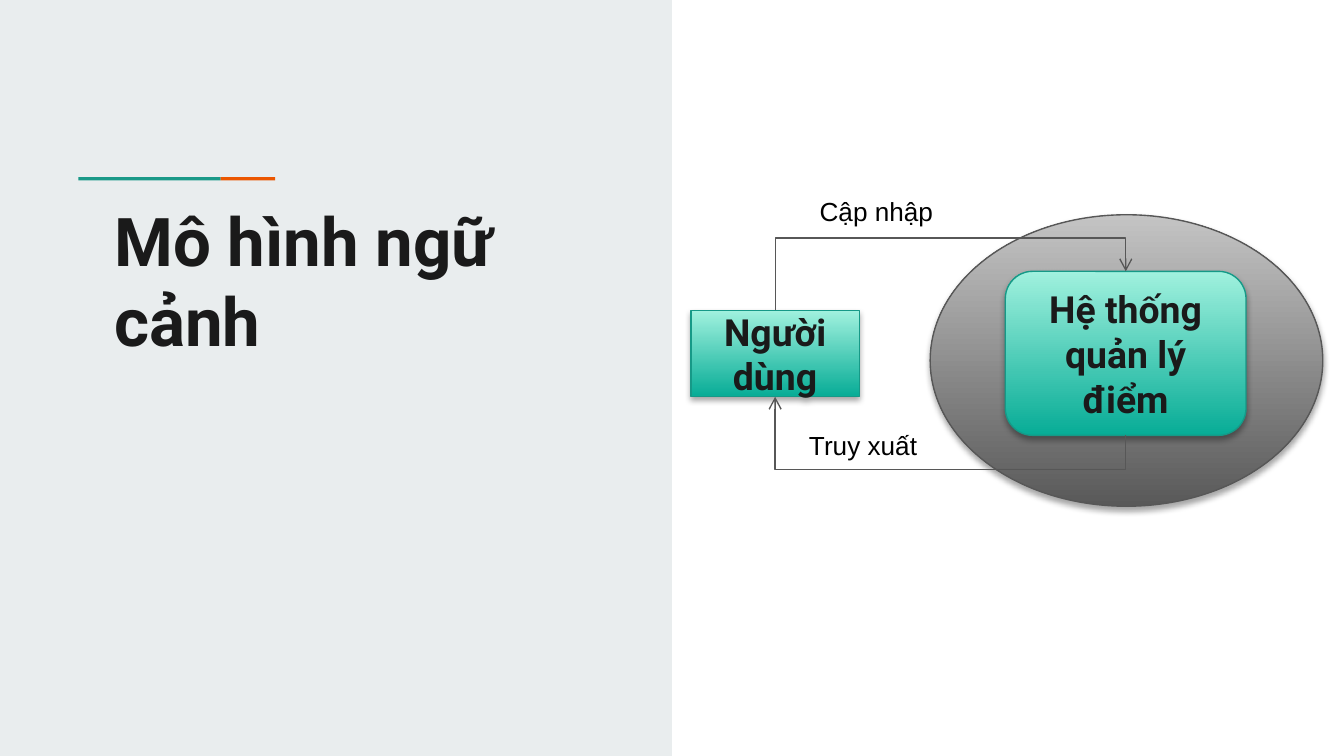
from dataclasses import dataclass

from lxml.etree import SubElement
from pptx import Presentation
from pptx.dml.color import RGBColor
from pptx.enum.shapes import MSO_CONNECTOR, MSO_SHAPE
from pptx.enum.text import MSO_ANCHOR, MSO_AUTO_SIZE, PP_ALIGN
from pptx.oxml.ns import qn
from pptx.util import Cm, Pt

COLORS = {
    "panel": "E9EDEE",
    "teal": "1A9988",
    "orange": "EB5600",
    "ink": "1A1A1A",
    "black": "000000",
    "gray_dark": "595959",
    "gray_light": "C4C4C4",
    "gray_line": "575757",
    "mint_dark": "07AC96",
    "mint_light": "A0F1DE",
    "mint_line": "169987",
}


@dataclass
class Box:
    left: float
    top: float
    width: float
    height: float

    @property
    def center_x(self) -> float:
        return self.left + self.width / 2

    @property
    def bottom(self) -> float:
        return self.top + self.height

    def lengths(self) -> list:
        return [Cm(v) for v in (self.left, self.top, self.width, self.height)]


@dataclass
class Band:
    box: Box
    color: str


@dataclass
class Node:
    box: Box
    kind: MSO_SHAPE
    palette: str
    text: str = ""


@dataclass
class Flow:
    start: tuple
    end: tuple
    turn_y: float


@dataclass
class Label:
    box: Box
    text: str


def rgb(name: str) -> RGBColor:
    return RGBColor.from_string(COLORS[name])


def write(frame, text: str, *, size: float, font: str, color: str, bold=False,
          align=PP_ALIGN.LEFT, anchor=MSO_ANCHOR.TOP, wrap=True,
          fit=MSO_AUTO_SIZE.NONE) -> None:
    frame.word_wrap = wrap
    frame.auto_size = fit
    frame.vertical_anchor = anchor
    paragraph = frame.paragraphs[0]
    paragraph.alignment = align
    run = paragraph.add_run()
    run.text = text
    run.font.size = Pt(size)
    run.font.name = font
    run.font.bold = bold
    run.font.color.rgb = rgb(color)


def draw_band(slide, band: Band) -> None:
    strip = slide.shapes.add_shape(MSO_SHAPE.RECTANGLE, *band.box.lengths())
    strip.shadow.inherit = False
    strip.fill.solid()
    strip.fill.fore_color.rgb = rgb(band.color)
    strip.line.fill.background()


def add_shadow(shape) -> None:
    effects = SubElement(shape._element.spPr, qn("a:effectLst"))
    shadow = SubElement(effects, qn("a:outerShdw"), blurRad="40000", dist="23000",
                        dir="5400000", rotWithShape="0")
    tint = SubElement(shadow, qn("a:srgbClr"), val=COLORS["black"])
    SubElement(tint, qn("a:alpha"), val="35000")


def draw_node(slide, node: Node) -> None:
    shape = slide.shapes.add_shape(node.kind, *node.box.lengths())
    shape.fill.gradient()
    shape.fill.gradient_angle = 90
    for stop, shade in zip(shape.fill.gradient_stops, ("dark", "light")):
        stop.color.rgb = rgb(f"{node.palette}_{shade}")
    shape.line.color.rgb = rgb(f"{node.palette}_line")
    shape.line.width = Pt(0.75)
    add_shadow(shape)
    if node.text:
        write(shape.text_frame, node.text, size=20, font="Roboto", color="ink",
              bold=True, align=PP_ALIGN.CENTER, anchor=MSO_ANCHOR.MIDDLE)


def draw_flow(slide, flow: Flow) -> None:
    (start_x, start_y), (end_x, end_y) = flow.start, flow.end
    mid_x, mid_y = (start_x + end_x) / 2, (start_y + end_y) / 2
    unturned = [Cm(v) for x, y in (flow.start, flow.end)
                for v in (mid_x + y - mid_y, mid_y - x + mid_x)]
    arrow = slide.shapes.add_connector(MSO_CONNECTOR.ELBOW, *unturned)
    arrow.line.color.rgb = rgb("gray_line")
    arrow.line.width = Pt(0.75)
    properties = arrow._element.spPr
    properties.find(qn("a:xfrm")).set("rot", "5400000")
    bend = round((flow.turn_y - start_y) / (end_y - start_y) * 100000)
    guides = properties.find(qn("a:prstGeom")).find(qn("a:avLst"))
    SubElement(guides, qn("a:gd"), name="adj1", fmla=f"val {bend}")
    SubElement(properties.find(qn("a:ln")), qn("a:tailEnd"), type="arrow")
    SubElement(properties, qn("a:effectLst"))


def draw_label(slide, label: Label) -> None:
    caption = slide.shapes.add_textbox(*label.box.lengths())
    write(caption.text_frame, label.text, size=14, font="Arial", color="black",
          wrap=False, fit=MSO_AUTO_SIZE.SHAPE_TO_FIT_TEXT)


def main() -> None:
    deck = Presentation()
    deck.slide_width, deck.slide_height = Cm(25.4), Cm(14.29)
    slide = deck.slides.add_slide(deck.slide_layouts[5])

    for band in (
        Band(Box(0, 0, 12.7, 14.29), "panel"),
        Band(Box(1.48, 3.35, 2.69, 0.06), "teal"),
        Band(Box(4.17, 3.35, 1.03, 0.06), "orange"),
    ):
        draw_band(slide, band)

    title = slide.shapes.title
    slide.shapes._spTree.append(title._element)
    title.left, title.top, title.width, title.height = Box(1.91, 3.51, 9.17, 3.63).lengths()
    frame = title.text_frame
    frame.margin_left = frame.margin_right = frame.margin_top = frame.margin_bottom = Cm(0.25)
    write(frame, "Mô hình ngữ cảnh", size=36, font="Roboto", color="ink", bold=True)

    system = Box(19, 5.13, 4.55, 3.1)
    user = Box(13.06, 5.87, 3.18, 1.63)
    for node in (
        Node(Box(17.58, 4.06, 7.42, 5.51), MSO_SHAPE.OVAL, "gray"),
        Node(system, MSO_SHAPE.ROUNDED_RECTANGLE, "mint", "Hệ thống quản lý điểm"),
        Node(user, MSO_SHAPE.RECTANGLE, "mint", "Người dùng"),
    ):
        draw_node(slide, node)

    for flow in (
        Flow((user.center_x, user.top), (system.center_x, system.top), 4.5),
        Flow((system.center_x, system.bottom), (user.center_x, user.bottom), 8.87),
    ):
        draw_flow(slide, flow)

    for label in (
        Label(Box(15.04, 8, 2.59, 0.86), "Truy xuất"),
        Label(Box(15.24, 3.56, 2.67, 0.86), "Cập nhập"),
    ):
        draw_label(slide, label)

    deck.save("out.pptx")


if __name__ == "__main__":
    main()
